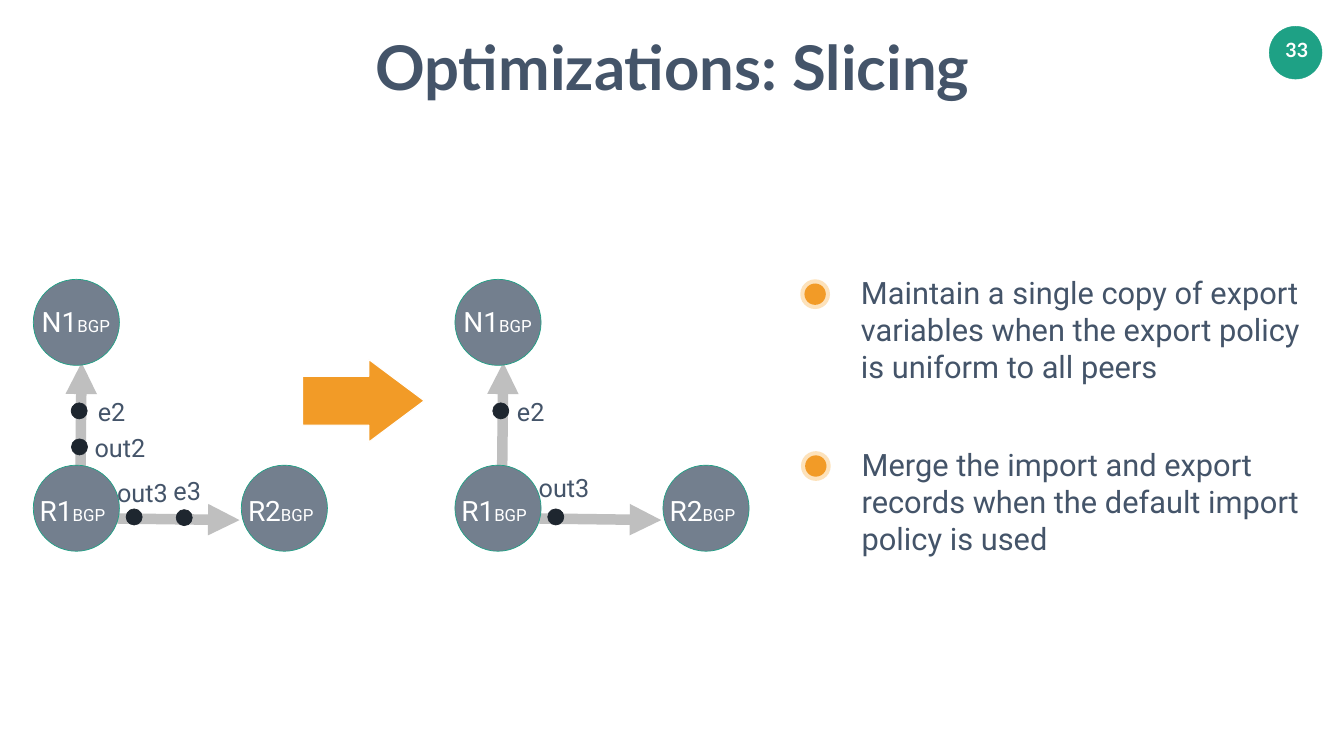
import dataclasses
import pptx
import pptx.dml.color
import pptx.enum.shapes
import pptx.enum.text
import pptx.oxml
import pptx.oxml.ns
import pptx.util

Pt = pptx.util.Pt
Shape = pptx.enum.shapes.MSO_SHAPE
Align = pptx.enum.text.PP_ALIGN
Anchor = pptx.enum.text.MSO_ANCHOR


@dataclasses.dataclass
class Theme:
    head: str = "Lato"
    body: str = "Roboto"
    ink: str = "445469"
    white: str = "FFFFFF"
    green: str = "1EA185"
    node: str = "737F8E"
    dot: str = "1E262F"
    link: str = "BFBFBF"
    amber: str = "F29B27"
    halo: str = "FDE2BB"
    title: int = 88
    list: int = 44
    name: int = 40
    label: int = 36
    page: int = 28
    sub: int = 24


class Deck:
    """Draws each kind of element on the current slide in one style."""

    def __init__(self, theme, wide, high):
        self.theme = theme
        self.show = pptx.Presentation()
        self.show.slide_width, self.show.slide_height = Pt(wide), Pt(high)
        self.slide = self.show.slides.add_slide(self.show.slide_layouts[3])
        self.items = self.slide.shapes

    def tint(self, code):
        return pptx.dml.color.RGBColor.from_string(code)

    def style(self, part, form):
        for key, value in form.items():
            setattr(part, key, value)

    def frame(self, item, inset=3.6, wrap=True, anchor=Anchor.TOP):
        edges = ("left", "top", "right", "bottom")
        form = {f"margin_{edge}": Pt(inset) for edge in edges}
        form |= {"word_wrap": wrap, "vertical_anchor": anchor,
                 "auto_size": pptx.enum.text.MSO_AUTO_SIZE.NONE}
        self.style(item.text_frame, form)
        return item.text_frame

    def words(self, par, text, size, color, face=None, bold=False):
        run = par.add_run()
        run.text = text
        self.style(run.font, {"size": Pt(size), "name": face or self.theme.body, "bold": bold})
        run.font.color.rgb = self.tint(color)

    def place(self, item, box):
        names = ("left", "top", "width", "height")
        self.style(item, {name: Pt(size) for name, size in zip(names, box)})

    def title(self, text, box):
        item = self.items.title
        self.place(item, box)
        par = self.frame(item, wrap=False, anchor=Anchor.MIDDLE).paragraphs[0]
        par.alignment = Align.CENTER
        self.words(par, text, self.theme.title, self.theme.ink, self.theme.head, True)

    def point(self, slot, lines, box):
        item = self.slide.placeholders[slot]
        self.place(item, box)
        frame = self.frame(item)
        for row, line in enumerate(lines):
            par = frame.add_paragraph() if row else frame.paragraphs[0]
            self.style(par, {"alignment": Align.LEFT, "space_before": Pt(0)})
            props = par._p.get_or_add_pPr()
            props.set("marL", "0")
            props.set("indent", "0")
            props.append(pptx.oxml.parse_xml(f'<a:buNone {pptx.oxml.ns.nsdecls("a")}/>'))
            self.words(par, line, self.theme.list, self.theme.ink)

    def shape(self, kind, box, fill, line=None, width=1):
        item = self.items.add_shape(kind, *map(Pt, box))
        item.shadow.inherit = False
        item.fill.solid()
        item.fill.fore_color.rgb = self.tint(fill)
        if line:
            item.line.color.rgb = self.tint(line)
            item.line.width = Pt(width)
        else:
            item.line.fill.background()
        return item

    def disc(self, left, top, size, fill, line=None, width=1):
        self.shape(Shape.OVAL, (left, top, size, size), fill, line, width)

    def bullet(self, left, top):
        self.disc(left, top, 42.5, self.theme.halo)
        self.disc(left + 6, top + 6, 30.5, self.theme.amber)

    def text(self, box, runs, face=None, bold=False, center=False, inset=3.6):
        item = self.items.add_textbox(*map(Pt, box))
        par = self.frame(item, inset, not center).paragraphs[0]
        par.alignment = Align.CENTER if center else Align.LEFT
        for text, size, color in runs:
            self.words(par, text, size, color, face, bold)

    def link(self, *ends):
        item = self.items.add_connector(pptx.enum.shapes.MSO_CONNECTOR.STRAIGHT, *map(Pt, ends))
        item.line.color.rgb = self.tint(self.theme.link)
        item.line.width = Pt(15)
        space = pptx.oxml.ns.nsdecls("a")
        props = item._element.spPr
        props.get_or_add_ln().append(pptx.oxml.parse_xml(f'<a:tailEnd {space} type="triangle"/>'))
        props.append(pptx.oxml.parse_xml(f"<a:effectLst {space}/>"))

    def graph(self, left, dots, labels):
        look = self.theme
        self.link(left + 66, 740, left + 294.5, 743)
        self.link(left + 67, 712, left + 69, 518)
        nodes = (("R1", 0, 664.5, 5.5, 36.5), ("R2", 297, 664.5, 6, 37.5), ("N1", 0, 399, 8.5, 33))
        for name, over, top, right, down in nodes:
            self.disc(left + over, top, 123, look.node, look.green)
            self.text((left + over + right, top + down, 114, 48),
                      ((name, look.name, look.white), ("BGP", look.sub, look.white)))
        for over, top in dots:
            self.disc(left + over, top, 23, look.dot, look.dot)
        for name, over, top in labels:
            self.text((left + over, top, 86, 44), ((name, look.label, look.ink),))


def main():
    look = Theme()
    deck = Deck(look, 1918.8, 1080)
    deck.disc(1812, 37.5, 75.5, look.green, look.green, 0.5)
    deck.text((1828, 47.5, 47, 48), (("33", look.page, look.white),), look.head, True, True, 7.2)
    deck.title("Optimizations: Slicing", (494, 38, 932, 113))
    points = (
        ("Maintain a single copy of export", "variables when the export policy", "is uniform to all peers"),
        ("Merge the import and export", "records when the default import", "policy is used"),
    )
    for row, lines in enumerate(points):
        drop = 245.5 * row
        deck.bullet(1142.5 + row, 399 + drop)
        deck.point(row + 1, lines, (1225.5 + row, 387.5 + drop, 646, 166))
    deck.graph(47.5, ((54.5, 627), (54, 575.5), (132.5, 727), (204, 728)),
               (("e2", 88.5, 563), ("e3", 196.5, 676), ("out2", 84, 614), ("out3", 116, 679)))
    deck.graph(649.5, ((54, 575.5), (132.5, 727)), (("e2", 85, 563), ("out3", 116, 670.5)))
    arrow = deck.shape(Shape.RIGHT_ARROW, (432, 513.5, 173.5, 118), look.amber, look.white, 1.5)
    arrow.adjustments[0], arrow.adjustments[1] = 0.59, 0.67
    deck.show.save("out.pptx")


if __name__ == "__main__":
    main()
